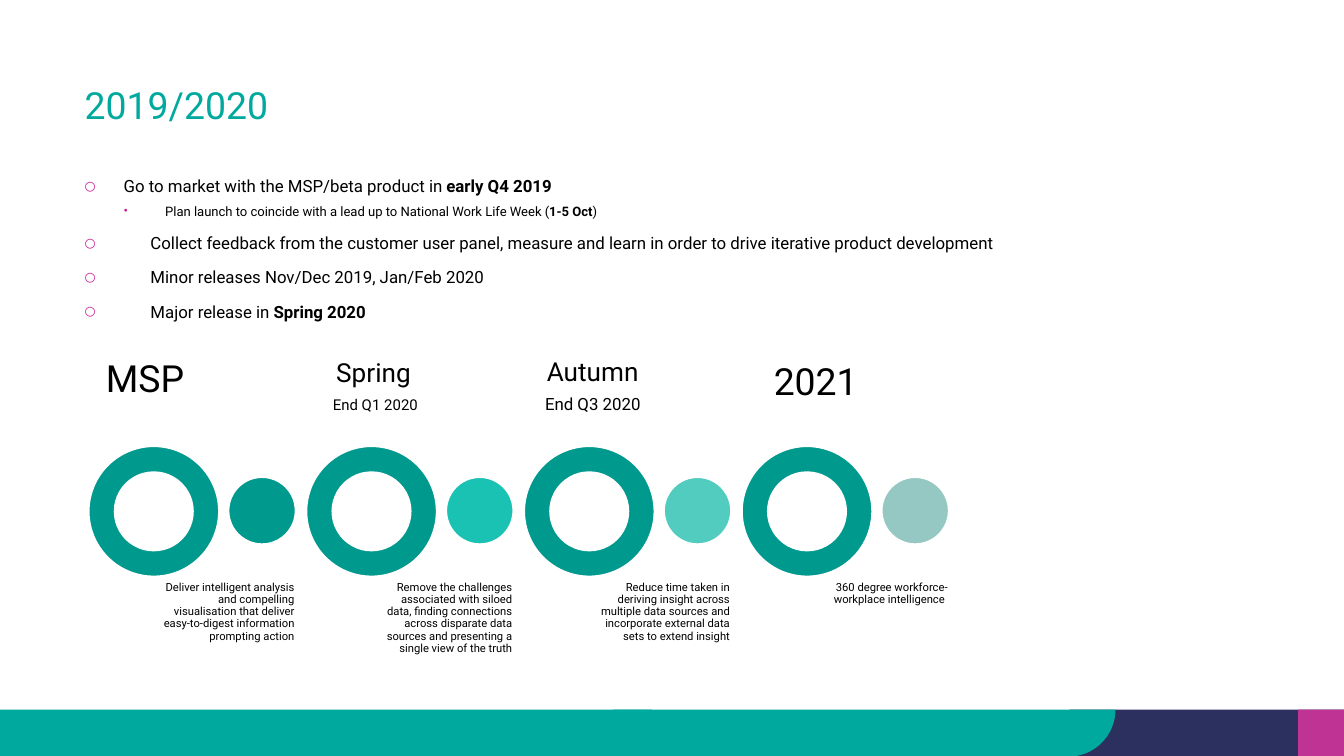
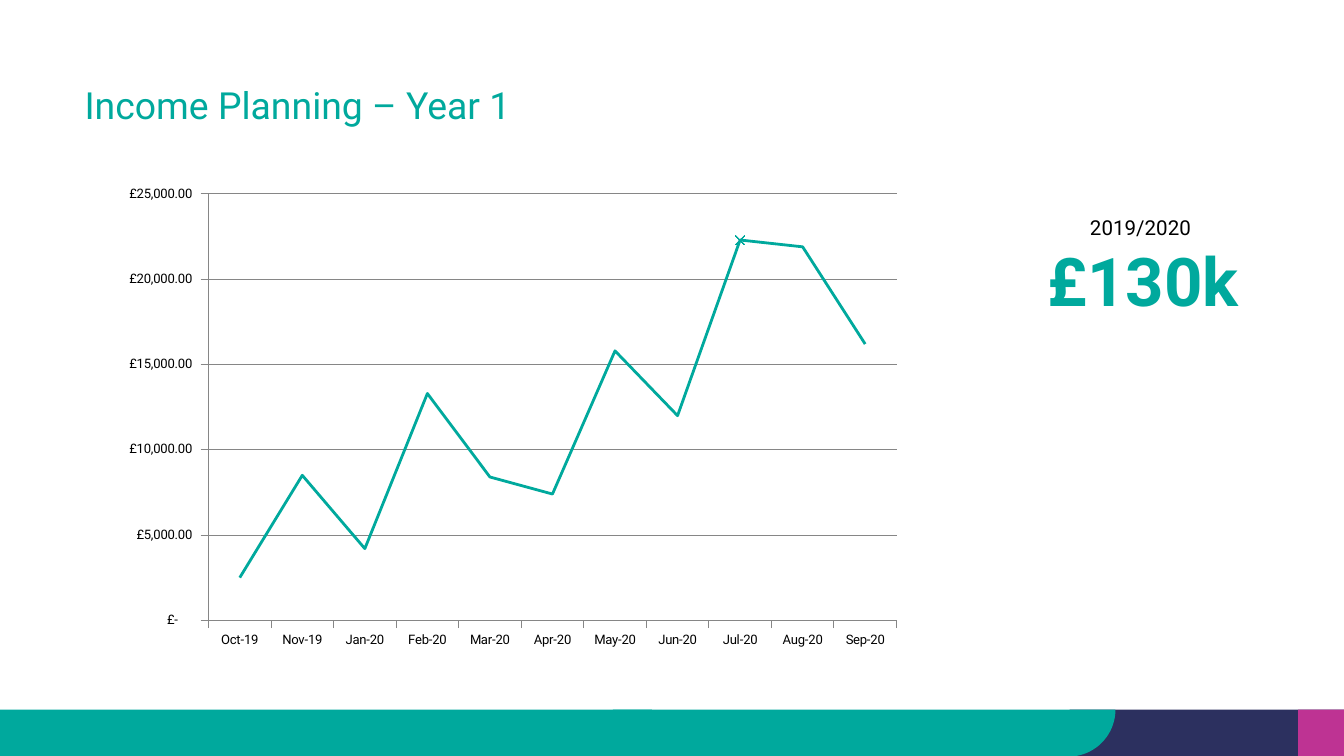
"""Build the product roadmap and income planning slides."""
from math import cos, pi, sin

from pptx import Presentation
from pptx.chart.data import CategoryChartData
from pptx.dml.color import RGBColor
from pptx.enum.chart import XL_CHART_TYPE as ChartType, XL_MARKER_STYLE as Marker, XL_TICK_MARK as Tick
from pptx.enum.shapes import MSO_SHAPE as Preset
from pptx.enum.text import MSO_ANCHOR as Anchor, PP_ALIGN as Align
from pptx.oxml import parse_xml
from pptx.oxml.ns import nsdecls, qn
from pptx.util import Inches, Pt

FONT = "Roboto"
COLORS = {
    "teal": "00A99D", "navy": "2C305F", "magenta": "BE3393", "bullet": "C9148D",
    "ring": "00998E", "black": "000000", "white": "FFFFFF", "axis": "868686",
    "spring": "19C2B3", "autumn": "51CCBE", "future": "95C8C2",
}
color = {name: RGBColor.from_string(value) for name, value in COLORS.items()}


def paint(shape, fill, outline=None):
    shape.shadow.inherit = False
    shape.fill.solid()
    shape.fill.fore_color.rgb = color[fill]
    if outline is None:
        shape.line.fill.background()
    else:
        shape.line.color.rgb = color[outline]
        shape.line.width = Pt(1)


def add_text(slide, box, lines, margins, align=Align.LEFT, spacing=1.0, after=0.0):
    """Lines are (size, colour, runs); runs are (text, bold)."""
    frame = slide.shapes.add_textbox(*map(Inches, box)).text_frame
    frame.word_wrap = True
    frame.vertical_anchor = Anchor.TOP
    frame.margin_left, frame.margin_top, frame.margin_right, frame.margin_bottom = map(Inches, margins)
    for index, (size, ink, runs) in enumerate(lines):
        paragraph = frame.add_paragraph() if index else frame.paragraphs[0]
        paragraph.alignment = align
        paragraph.line_spacing = spacing
        paragraph.space_after = Pt(size * after)
        paragraph.font.name = FONT
        paragraph.font.size = Pt(size)
        paragraph.font.color.rgb = color[ink]
        for text, bold in runs:
            run = paragraph.add_run()
            run.text = text
            run.font.bold = bold
    return frame


presentation = Presentation()
presentation.slide_width = Inches(10)
presentation.slide_height = Inches(10 * 9 / 16)

BAND_TOP, BAND_HEIGHT = 5.28, 0.35
curve = [(7.95 + BAND_HEIGHT * sin(step * pi / 40), BAND_TOP + BAND_HEIGHT * cos(step * pi / 40))
         for step in range(21)]
slides = []
for title in ("2019/2020", "Income Planning – Year 1"):
    slide = presentation.slides.add_slide(presentation.slide_layouts[6])
    slides.append(slide)
    for left, width, name in ((0, 4.85, "teal"), (7.96, 2.04, "navy"), (9.66, 0.34, "magenta")):
        band = slide.shapes.add_shape(
            Preset.RECTANGLE, Inches(left), Inches(BAND_TOP), Inches(width), Inches(BAND_HEIGHT))
        paint(band, name)
    builder = slide.shapes.build_freeform(Inches(4.56), Inches(BAND_TOP))
    outline = [(4.56, BAND_TOP + BAND_HEIGHT)] + curve
    builder.add_line_segments([(Inches(x), Inches(y)) for x, y in outline], close=True)
    paint(builder.convert_to_shape(), "teal")
    add_text(slide, (0.63, 0.65, 6.56, 0.3), [(20, "teal", [(title, False)])],
             (0, 0, 0.04, 0), spacing=0.9)

roadmap, income = slides

plan = [
    (9, "black", [("Go to market with the MSP/beta product in ", False), ("early Q4 2019", True)]),
    (7, "black", [("Plan launch to coincide with a lead up to National Work Life Week (", False),
                  ("1-5 Oct", True), (")", False)]),
    (9, "black", [("Collect feedback from the customer user panel, measure and learn in order "
                   "to drive iterative product development", False)]),
    (9, "black", [("Minor releases Nov/Dec 2019, Jan/Feb 2020", False)]),
    (9, "black", [("Major release in ", False), ("Spring 2020", True)]),
]
indents = [(0.29, -0.29), (0.6, -0.31)] + [(0.49, -0.49)] * 3
plan_frame = add_text(roadmap, (0.63, 1.26, 8.73, 1.37), plan, (0, 0.05, 0.1, 0.05))
for index, (paragraph, (margin, hanging)) in enumerate(zip(plan_frame.paragraphs, indents)):
    nested = index == 1
    paragraph.level = int(nested)
    paragraph.space_before = Pt(3.8 if nested else 7.5)
    properties = paragraph._p.get_or_add_pPr()
    properties.set("marL", str(Inches(margin)))
    properties.set("indent", str(Inches(hanging)))
    font_properties = properties.find(qn("a:defRPr"))
    for markup in (
        f'<a:buClr {nsdecls("a")}><a:srgbClr val="{COLORS["bullet"]}"/></a:buClr>',
        f'<a:buSzPct {nsdecls("a")} val="{100000 if nested else 75000}"/>',
        f'<a:buFont {nsdecls("a")} typeface="{FONT}"/>',
        f'<a:buChar {nsdecls("a")} char="{"•" if nested else "○"}"/>',
    ):
        font_properties.addprevious(parse_xml(markup))

STAGE_STEP = 1.62
stages = [
    ((0.45, 2.68), 0.06, [("MSP", 20)], "ring",
     "Deliver intelligent analysis and compelling visualisation that deliver "
     "easy-to-digest information prompting action"),
    ((2.16, 2.68), 0.04, [("Spring", 14), (" End Q1 2020", 8)], "spring",
     "Remove the challenges associated with siloed data, finding connections across "
     "disparate data sources and presenting a single view of the truth"),
    ((3.79, 2.67), 0.04, [("Autumn", 14), ("End Q3 2020", 9)], "autumn",
     "Reduce time taken in deriving insight across multiple data sources and "
     "incorporate external data sets to extend insight"),
    ((5.44, 2.7), 0.06, [("2021", 20)], "future",
     "360 degree workforce-workplace intelligence "),
]
for index, (heading_corner, inset, heading, dot_color, caption) in enumerate(stages):
    offset = index * STAGE_STEP
    ring = roadmap.shapes.add_shape(
        Preset.DONUT, Inches(0.66 + offset), Inches(3.32), Inches(0.97), Inches(0.97))
    ring.adjustments[0] = 0.2
    paint(ring, "ring", "white")
    add_text(roadmap, (*heading_corner, 1.2, 0.58),
             [(size, "black", [(text, False)]) for text, size in heading],
             (inset, 0, 0, 0), Align.CENTER, 0.9, 0.35)
    dot = roadmap.shapes.add_shape(
        Preset.OVAL, Inches(1.7 + offset), Inches(3.55), Inches(0.5), Inches(0.5))
    paint(dot, dot_color, "white")
    add_text(roadmap, (1.17 + offset, 4.33, 1.04, 0.5), [(6, "black", [(caption, False)])],
             (0, 0, 0.02, 0), Align.RIGHT, 0.9, 0.35)

chart_data = CategoryChartData()
chart_data.categories = ["Oct-19", "Nov-19", "Jan-20", "Feb-20", "Mar-20", "Apr-20",
                         "May-20", "Jun-20", "Jul-20", "Aug-20", "Sep-20"]
chart_data.add_series("Series 1", [2500, 8500, 4200, 13300, 8400, 7400,
                                   15800, 12000, 22300, 21900, 16200])
chart = income.shapes.add_chart(
    ChartType.LINE, Inches(0.82), Inches(1.32), Inches(5.97), Inches(3.57), chart_data).chart
chart.has_title = False
chart.has_legend = False
chart.font.name = FONT
chart.font.size = Pt(10)
chart.font.color.rgb = color["black"]
chart.plots[0].vary_by_categories = False

category_axis, value_axis = chart.category_axis, chart.value_axis
category_axis.has_major_gridlines = False
value_axis.has_major_gridlines = True
for axis in (category_axis, value_axis):
    axis.major_tick_mark = Tick.OUTSIDE
    axis.minor_tick_mark = Tick.NONE
    axis.tick_labels.font.size = Pt(7)
for ruled in (category_axis, value_axis, value_axis.major_gridlines):
    ruled.format.line.color.rgb = color["axis"]
    ruled.format.line.width = Pt(0.5)
value_axis.minimum_scale, value_axis.maximum_scale, value_axis.major_unit = 0, 25000, 5000
value_axis.tick_labels.number_format = (
    '_("£"* #,##0.00_);_("£"* \\(#,##0.00\\);_("£"* "-"??_);_(@_)')
value_axis.tick_labels.number_format_is_linked = False

series = chart.plots[0].series[0]
series.smooth = False
series.marker.style = Marker.NONE
peak = series.points[8]
peak.marker.style = Marker.X
peak.marker.size = 5
peak.marker.format.line.color.rgb = color["teal"]
for stroke in (series.format.line, peak.format.line):
    stroke.color.rgb = color["teal"]
    stroke.width = Pt(1.5)

add_text(income, (7.58, 1.55, 1.85, 0.89),
         [(11, "black", [("2019/2020 ", False)]), (36, "teal", [("£130k", True)])],
         (0.1, 0.05, 0.1, 0.05), Align.CENTER)

presentation.save("out.pptx")
